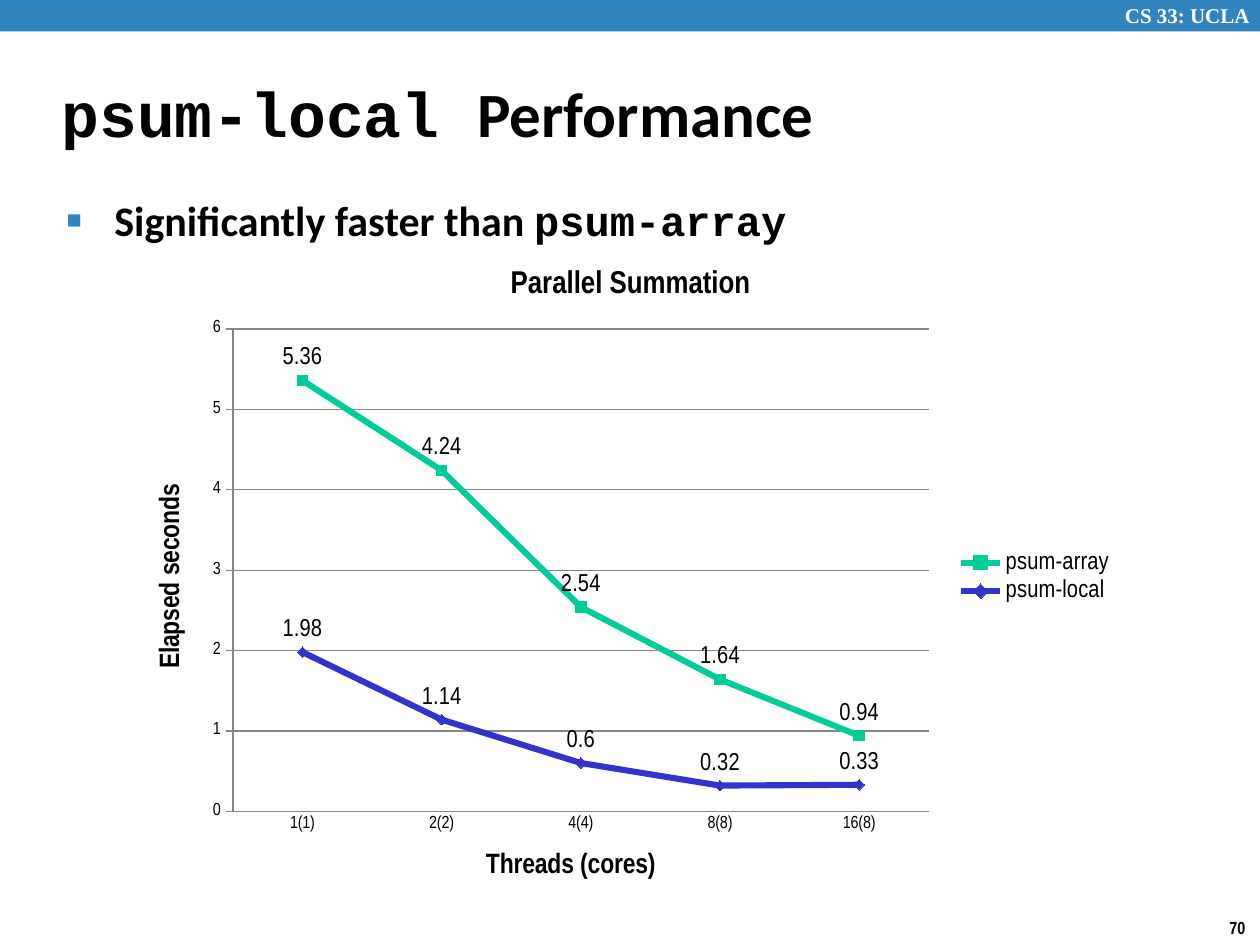
from lxml.etree import SubElement
from pptx import Presentation
from pptx.chart.data import CategoryChartData
from pptx.dml.color import RGBColor
from pptx.enum.chart import (XL_CHART_TYPE, XL_LABEL_POSITION,
                             XL_LEGEND_POSITION, XL_MARKER_STYLE, XL_TICK_MARK)
from pptx.enum.shapes import MSO_SHAPE
from pptx.enum.text import MSO_ANCHOR
from pptx.oxml import parse_xml
from pptx.oxml.ns import nsdecls, qn
from pptx.util import Inches, Pt

WIDTH, HEIGHT = Inches(10), Inches(7.5)
BLUE, BLACK, WHITE, GRAY = "3284BF", "000000", "FFFFFF", "878787"
NARROW, CODE, SANS = "Arial Narrow", "Courier New", "Calibri"
CATEGORIES = ["1(1)", "2(2)", "4(4)", "8(8)", "16(8)"]
SERIES = [
    ("psum-array", [5.36, 4.24, 2.54, 1.64, 0.94], "00CC99", XL_MARKER_STYLE.SQUARE),
    ("psum-local", [1.98, 1.14, 0.6, 0.32, 0.33], "3333CC", XL_MARKER_STYLE.DIAMOND),
]


def area(left, top, width, height):
    return (int(left * WIDTH), int(top * HEIGHT),
            int(width * WIDTH), int(height * HEIGHT))


def color(target, value):
    target.rgb = RGBColor.from_string(value)


def fill(target, value):
    target.fill.solid()
    color(target.fill.fore_color, value)


def style(font, size, name=NARROW, bold=False, shade=BLACK):
    formats = {"size": Pt(size), "name": name, "bold": bold}
    for key, value in formats.items():
        setattr(font, key, value)
    color(font.color, shade)


def add_bar(page):
    bar = page.shapes.add_shape(MSO_SHAPE.RECTANGLE, *area(0, 0, 1, 1 / 30))
    bar.shadow.inherit = False
    fill(bar, BLUE)
    bar.line.fill.background()


def add_text(page, place, spans, size, shade=BLACK, wrap=True, anchor=MSO_ANCHOR.TOP):
    box = page.shapes.add_textbox(*area(*place))
    frame = box.text_frame
    frame.word_wrap = wrap
    frame.vertical_anchor = anchor
    para = frame.paragraphs[0]
    for text, name in spans:
        span = para.add_run()
        span.text = text
        style(span.font, size, name, True, shade)
    return para


def add_bullet(para):
    properties = para._p.get_or_add_pPr()
    indent = Inches(0.38)
    properties.set("marL", str(indent))
    properties.set("indent", str(-indent))
    shade = SubElement(properties, qn("a:buClr"))
    SubElement(shade, qn("a:srgbClr"), val=BLUE)
    SubElement(properties, qn("a:buSzPct"), val="60000")
    SubElement(properties, qn("a:buFont"), typeface="Arial")
    SubElement(properties, qn("a:buChar"), char="■")


def set_title(owner, text, size):
    owner.has_title = True
    frame = (owner.chart_title if hasattr(owner, "chart_title") else owner.axis_title).text_frame
    frame.text = text
    style(frame.paragraphs[0].runs[0].font, size, bold=True)


def format_axis(axis, title, tick):
    axis.has_title = True
    set_title(axis, title, 16)
    axis.major_tick_mark = tick
    axis.minor_tick_mark = XL_TICK_MARK.NONE
    style(axis.tick_labels.font, 10)
    format_line(axis.format.line, GRAY, 0.75)


def format_line(line, shade, width):
    line.width = Pt(width)
    color(line.color, shade)


def format_series(series, shade, marker):
    series.smooth = False
    format_line(series.format.line, shade, 3.5)
    series.marker.style = marker
    series.marker.size = 6
    fill(series.marker.format, shade)
    format_line(series.marker.format.line, shade, 0.75)
    labels = series.data_labels
    formats = {"show_value": True, "position": XL_LABEL_POSITION.ABOVE}
    for key, value in formats.items():
        setattr(labels, key, value)
    style(labels.font, 14)


def place_plot(chart, left, top, width, height):
    plot_area = chart._chartSpace.chart.plotArea
    for old in plot_area.findall(qn("c:layout")):
        plot_area.remove(old)
    shares = zip("xywh", (left, top, width, height))
    values = "".join(f'<c:{key} val="{share}"/>' for key, share in shares)
    plot_area.insert(0, parse_xml(
        f'<c:layout {nsdecls("c")}><c:manualLayout><c:layoutTarget val="inner"/>'
        f'<c:xMode val="edge"/><c:yMode val="edge"/>{values}'
        '</c:manualLayout></c:layout>'))


def add_line_chart(page, place):
    data = CategoryChartData()
    data.categories = CATEGORIES
    for name, values, _, _ in SERIES:
        data.add_series(name, values)
    chart = page.shapes.add_chart(XL_CHART_TYPE.LINE_MARKERS, *area(*place), data).chart
    style(chart.font, 10)
    set_title(chart, "Parallel Summation", 18)
    format_axis(chart.category_axis, "Threads (cores)", XL_TICK_MARK.NONE)
    scale = chart.value_axis
    format_axis(scale, "Elapsed seconds", XL_TICK_MARK.OUTSIDE)
    limits = {"minimum_scale": 0, "maximum_scale": 6, "major_unit": 1,
              "has_major_gridlines": True}
    for key, value in limits.items():
        setattr(scale, key, value)
    format_line(scale.major_gridlines.format.line, GRAY, 0.75)
    chart.plots[0].vary_by_categories = False
    for series, (_, _, shade, marker) in zip(chart.plots[0].series, SERIES):
        format_series(series, shade, marker)
    chart.has_legend = True
    chart.legend.position = XL_LEGEND_POSITION.RIGHT
    chart.legend.include_in_layout = False
    style(chart.legend.font, 14)
    place_plot(chart, 0.1, 0.13, 0.7, 0.72)


def main():
    deck = Presentation()
    deck.slide_width, deck.slide_height = WIDTH, HEIGHT
    page = deck.slides.add_slide(deck.slide_layouts[6])
    add_bar(page)
    add_text(page, (0.883, -0.004, 0.124, 0.04),
             [("CS 33: UCLA", "Times New Roman")], 12, WHITE)
    add_text(page, (0.966, 0.964, 0.034, 0.036), [("70", NARROW)], 10, wrap=False)
    add_text(page, (0.039, 0.064, 0.83, 0.11),
             [("psum-local ", CODE), ("Performance", SANS)], 36, anchor=MSO_ANCHOR.MIDDLE)
    point = add_text(page, (0.043, 0.199, 0.864, 0.079),
                     [("Significantly faster than ", SANS), ("psum-array", CODE)], 24)
    add_bullet(point)
    add_line_chart(page, (0.106, 0.256, 0.789, 0.709))
    deck.save("out.pptx")


if __name__ == "__main__":
    main()
